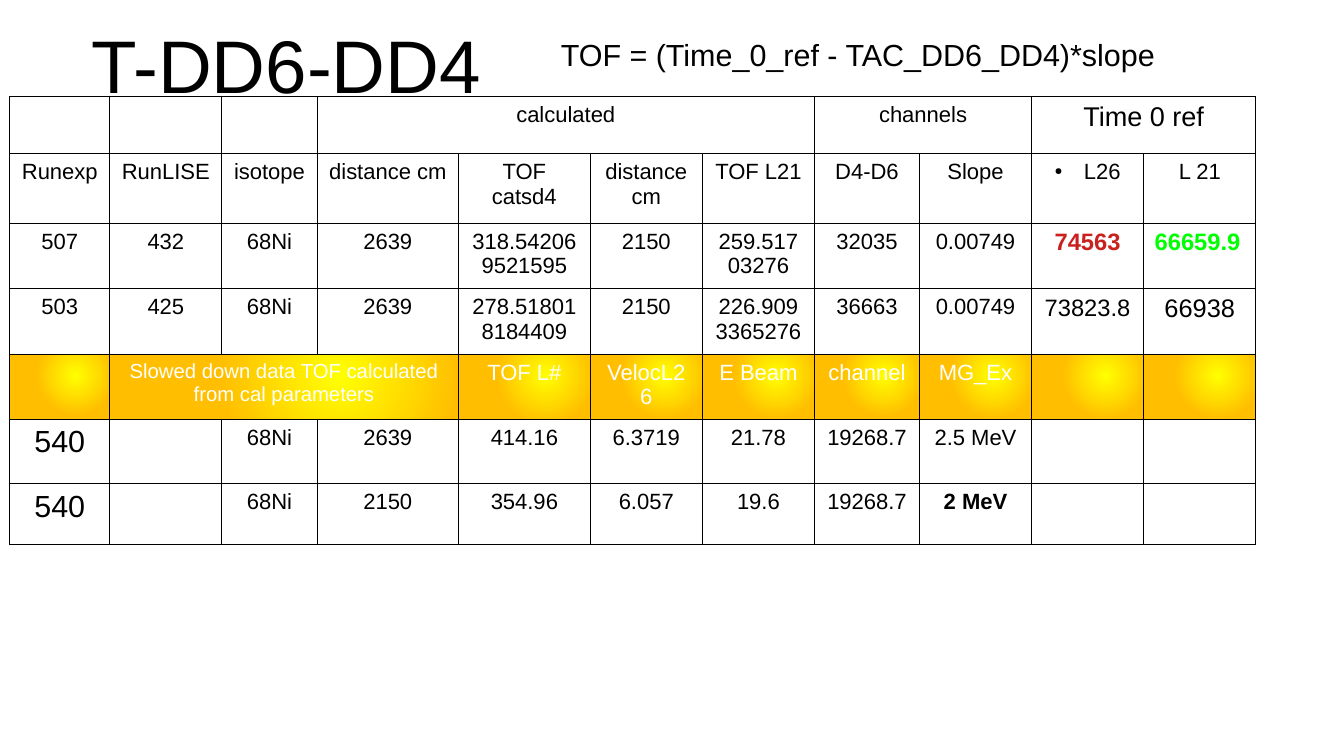
from dataclasses import dataclass

from pptx import Presentation
from pptx.dml.color import RGBColor
from pptx.enum.text import MSO_ANCHOR, PP_ALIGN
from pptx.oxml import parse_xml
from pptx.oxml.ns import nsdecls
from pptx.util import Inches, Pt

LEFT, CENTER = PP_ALIGN.LEFT, PP_ALIGN.CENTER
TOP, MIDDLE = MSO_ANCHOR.TOP, MSO_ANCHOR.MIDDLE
NS = nsdecls("a")


@dataclass(frozen=True)
class Theme:
    face: str = "Arial"
    ink: str = "000000"
    pale: str = "FFFFFF"
    red: str = "C9211E"
    green: str = "00FF00"
    glow: str = "FFFF00"
    amber: str = "FFBF00"
    title: int = 44
    large: int = 18
    head: int = 16
    mid: int = 15
    mark: int = 14
    body: int = 13
    small: int = 12
    rule: float = 0.57


THEME = Theme()

# Grid: one unit is a tenth of an inch
UNIT = 0.1
WIDE, HIGH = 110.2, 62
COLS = [8.2, 9.2, 7.8, 11.6, 10.8, 9.2, 9.2, 8.6, 9.2, 9.2, 9.2]
ROWS = [4.7, 5.7, 5.4, 5.3, 5.3, 5.3, 5]
BAND = 4

# Table content
DATA = [
    ["", "", "", "calculated", "", "", "", "channels", "", "Time 0 ref", ""],
    ["Runexp", "RunLISE", "isotope", "distance cm", "TOF catsd4", "distance cm",
     "TOF L21", "D4-D6", "Slope", "L26", "L 21"],
    ["507", "432", "68Ni", "2639", "318.542069521595", "2150",
     "259.51703276", "32035", "0.00749", "74563", "66659.9"],
    ["503", "425", "68Ni", "2639", "278.518018184409", "2150",
     "226.9093365276", "36663", "0.00749", "73823.8", "66938"],
    ["", "Slowed down data TOF calculated from cal parameters", "", "", "TOF L#",
     "VelocL26", "E Beam", "channel", "MG_Ex", "", ""],
    ["540", "", "68Ni", "2639", "414.16", "6.3719", "21.78", "19268.7",
     "2.5 MeV", "", ""],
    ["540", "", "68Ni", "2150", "354.96", "6.057", "19.6", "19268.7",
     "2 MeV", "", ""],
]

# Joined cells: (row, first column) -> last column
SPANS = {(0, 3): 6, (0, 7): 8, (0, 9): 10, (BAND, 1): 3}

# Cells that differ from the body style
LOOKS = {
    (0, 9): {"size": THEME.head},
    (1, 9): {"dot": True},
    (2, 9): {"size": THEME.mark, "bold": True, "color": THEME.red},
    (2, 10): {"size": THEME.mark, "bold": True, "color": THEME.green, "align": LEFT},
    (3, 9): {"size": THEME.mark},
    (3, 10): {"size": THEME.mid},
    (BAND, 1): {"size": THEME.small},
    (5, 0): {"size": THEME.large},
    (6, 0): {"size": THEME.large},
    (6, 8): {"bold": True},
}


def span(num):
    return Inches(num * UNIT)


class Deck:
    def __init__(self, theme):
        self.theme = theme
        self.file = Presentation()
        self.file.slide_width, self.file.slide_height = span(WIDE), span(HIGH)
        self.slide = self.file.slides.add_slide(self.file.slide_layouts[6])

    def words(self, frame, text, align=CENTER, color=None, dot=False, **font):
        para = frame.paragraphs[0]
        para.alignment = align
        if dot:
            self.bullet(para)
        run = para.add_run()
        run.text = text
        style = {"name": self.theme.face, "size": self.theme.body, "bold": False} | font
        style["size"] = Pt(style["size"])
        for key, val in style.items():
            setattr(run.font, key, val)
        run.font.color.rgb = RGBColor.from_string(color or self.theme.ink)

    def bullet(self, para):
        props = para._p.get_or_add_pPr()
        props.set("marL", str(Inches(0.24)))
        props.set("indent", str(-Inches(0.24)))
        for tag in (f'<a:buClr {NS}><a:srgbClr val="{self.theme.ink}"/></a:buClr>',
                    f'<a:buSzPct {NS} val="45000"/>',
                    f'<a:buChar {NS} char="●"/>'):
            props.append(parse_xml(tag))

    def label(self, box, text, pad=(0, 0), anchor=TOP, **look):
        frame = self.slide.shapes.add_textbox(*map(span, box)).text_frame
        side, edge = map(span, pad)
        style = {"margin_left": side, "margin_right": side, "margin_top": edge,
                 "margin_bottom": edge, "vertical_anchor": anchor, "word_wrap": True}
        for key, val in style.items():
            setattr(frame, key, val)
        self.words(frame, text, **look)

    def border(self, cell):
        props = cell._tc.get_or_add_tcPr()
        for spot, side in enumerate("LRTB"):
            props.insert(spot, parse_xml(
                f'<a:ln{side} {NS} w="{Pt(self.theme.rule)}"><a:solidFill>'
                f'<a:srgbClr val="{self.theme.ink}"/></a:solidFill></a:ln{side}>'))

    def shine(self, cell):
        cell._tc.get_or_add_tcPr().append(parse_xml(
            f'<a:gradFill {NS}><a:gsLst>'
            f'<a:gs pos="0"><a:srgbClr val="{self.theme.glow}"/></a:gs>'
            f'<a:gs pos="67000"><a:srgbClr val="{self.theme.amber}"/></a:gs>'
            '</a:gsLst><a:path path="circle">'
            '<a:fillToRect l="66000" t="33000" r="34000" b="67000"/>'
            '</a:path></a:gradFill>'))

    def table(self, left, top):
        box = map(span, (left, top, sum(COLS), sum(ROWS)))
        grid = self.slide.shapes.add_table(len(ROWS), len(COLS), *box).table
        grid.first_row = grid.horz_banding = False
        for col, size in zip(grid.columns, COLS):
            col.width = span(size)
        for row, size in zip(grid.rows, ROWS):
            row.height = span(size)
        for (row, col), last in SPANS.items():
            grid.cell(row, col).merge(grid.cell(row, last))
        pads = {"margin_left": 0.9, "margin_right": 0.9,
                "margin_top": 0.5, "margin_bottom": 0.5}
        for row, line in enumerate(DATA):
            for col, text in enumerate(line):
                cell = grid.cell(row, col)
                for key, val in pads.items():
                    setattr(cell, key, span(val))
                if row == BAND:
                    self.shine(cell)
                else:
                    cell.fill.background()
                self.border(cell)
                if text:
                    base = {"color": self.theme.pale} if row == BAND else {}
                    self.words(cell.text_frame, text, **base | LOOKS.get((row, col), {}))


def main():
    deck = Deck(THEME)
    # Title
    deck.label((0, 0, 47, 10.4), "T-DD6-DD4", anchor=MIDDLE, size=THEME.title)
    # Run table
    deck.table(0.8, 7.9)
    # Formula
    deck.label((45, 2.5, 57.5, 3.8), "TOF = (Time_0_ref - TAC_DD6_DD4)*slope",
               pad=(1, 0.5), align=LEFT, size=THEME.large)
    deck.file.save("out.pptx")


if __name__ == "__main__":
    main()
